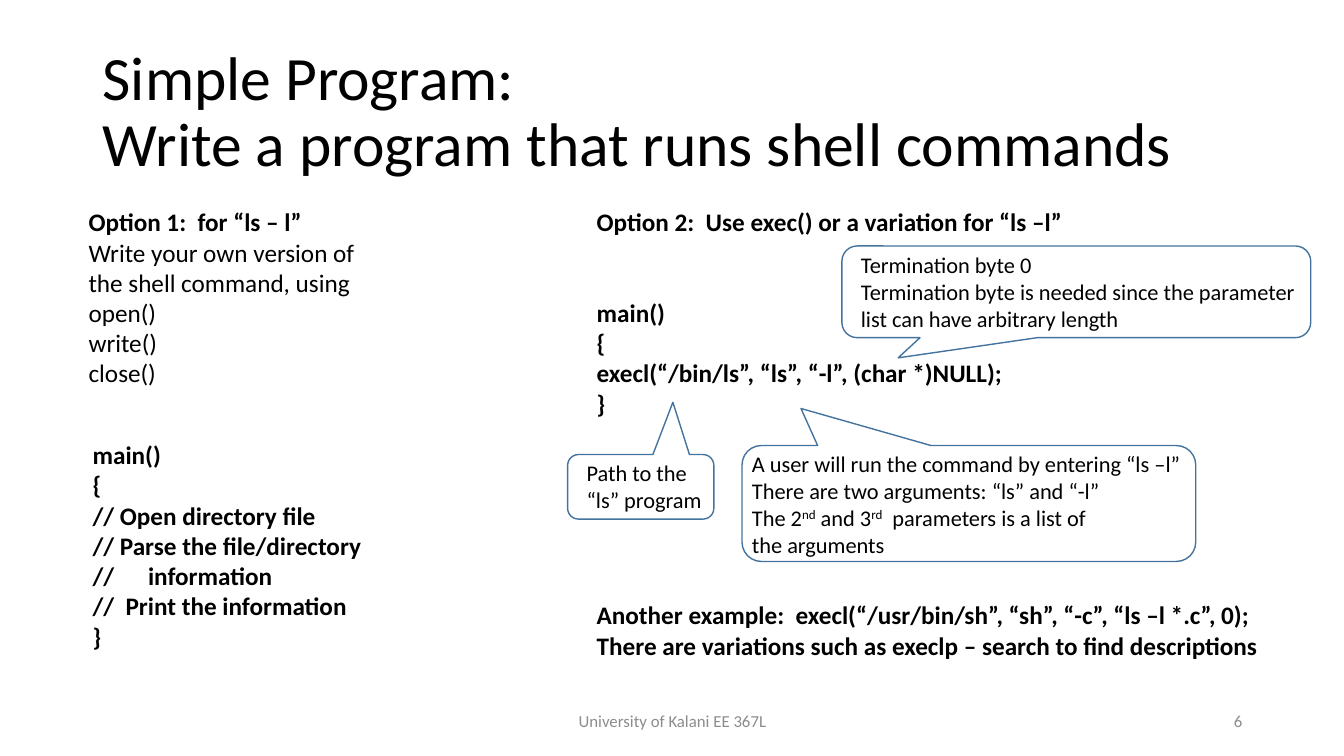
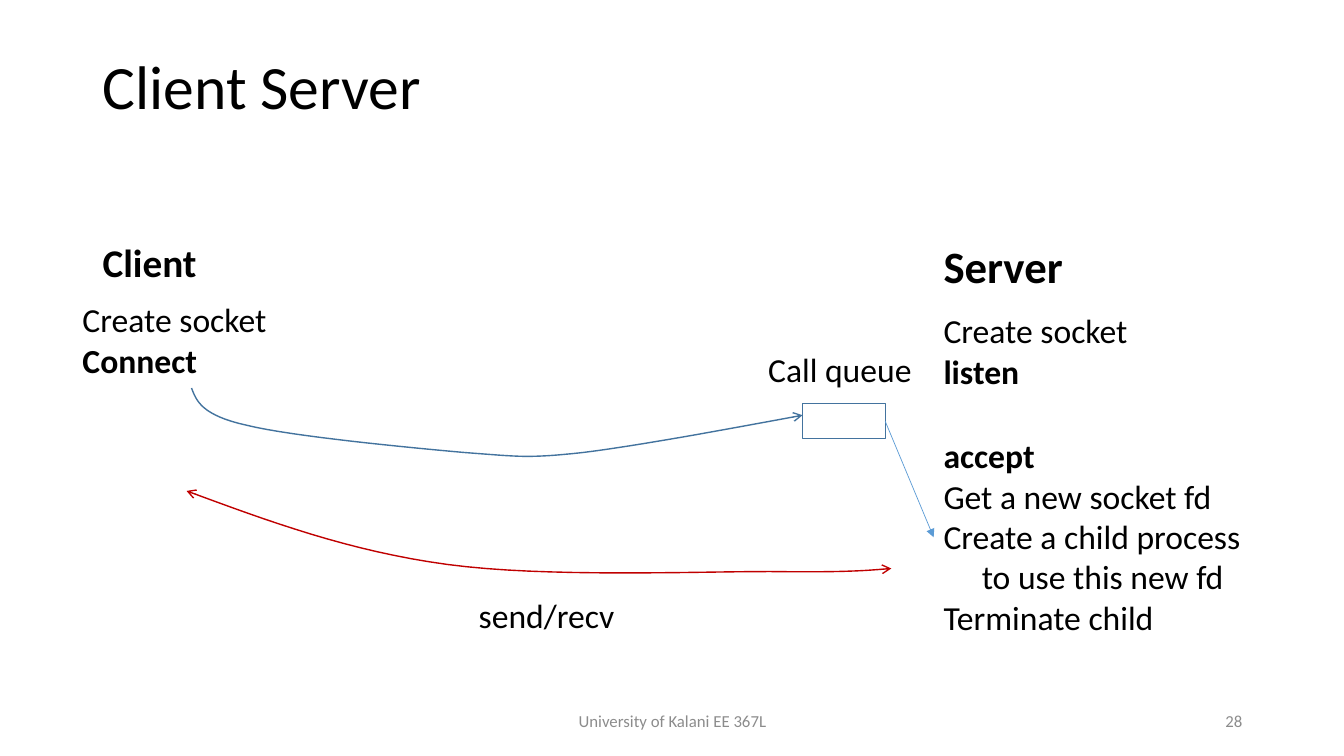
"""Build two course slides: running shell commands, and a client and server."""
from lxml.etree import SubElement
from pptx import Presentation
from pptx.dml.color import RGBColor
from pptx.enum.shapes import MSO_CONNECTOR as LINK, MSO_SHAPE as SHAPE
from pptx.enum.text import MSO_ANCHOR as ANCHOR, MSO_AUTO_SIZE as AUTO, PP_ALIGN as ALIGN
from pptx.oxml.ns import qn
from pptx.util import Inches, Pt

BLACK = RGBColor(0x00, 0x00, 0x00)
GREY = RGBColor(0x8C, 0x8C, 0x8C)
STEEL = RGBColor(0x43, 0x73, 0x9E)
SKY = RGBColor(0x5B, 0x9B, 0xD5)
RED = RGBColor(0xC0, 0x00, 0x00)

FONT = "Calibri"
WIDTH, HEIGHT = 13.33, 7.5
MARGIN, SERVER_LEFT, BODY_TOP = 0.92, 9.26, 2
FOOTER = "University of Kalani EE 367L"
FOOTER_TOP, FOOTER_HEIGHT = 6.95, 0.4
CORNER = 0.167
CURVE_STEPS = 16

BOLD = {"bold": True}
CODE_LINE = 21.6

COMMANDS = {
    "title": "Simple Program:\nWrite a program that runs shell commands",
    "title_height": 1.45,
    "number": "6",
    "texts": [
        ((0.82, 4.31, 2.89, 2.22), 18, [
            ("main()", BOLD), ("{", BOLD), ("// Open directory file", BOLD),
            ("// Parse the file/directory", BOLD),
            ("//\tinformation", {**BOLD, "tab": 0.55}),
            ("//  Print the information", BOLD), ("}", BOLD)]),
        ((0.78, BODY_TOP, 2.89, 1.92), 18, [
            ("Option 1:  for “ls – l”", BOLD), "Write your own version of",
            "the shell command, using", "open()", "write()", "close()"]),
        ((5.82, BODY_TOP, 6.83, 4.64), 18, [
            ("Option 2:  Use exec() or a variation for “ls –l”", BOLD),
            ("main()", {**BOLD, "before": 2 * CODE_LINE}), ("{", BOLD),
            ("execl(“/bin/ls”, “ls”, “-l”, (char *)NULL);", BOLD), ("}", BOLD),
            ("Another example:  execl(“/usr/bin/sh”, “sh”, “-c”, “ls –l *.c”, 0);",
             {**BOLD, "before": 6 * CODE_LINE}),
            ("There are variations such as execlp – search to find descriptions", BOLD)]),
    ],
    "callouts": [
        ((5.63, 4.51, 1.45, 0.64), (0.22, -1.31), 0.09,
         ["Path to the", "“ls” program"]),
        ((8.35, 2.44, 4.65, 0.91), (-0.38, 0.72), 0.09,
         ["Termination byte 0", "Termination byte is needed since the parameter",
          "list can have arbitrary length"]),
        ((7.36, 4.42, 4.5, 1.15), (-0.37, -0.82), 0,
         ["A user will run the command by entering “ls –l”",
          "There are two arguments: “ls” and “-l”",
          "The 2^nd^ and 3^rd^  parameters is a list of", "the arguments"]),
    ],
}

SOCKETS = {
    "title": "Client Server",
    "title_height": 0.97,
    "number": "28",
    "texts": [
        ((MARGIN, 2.32, 1.14, 0.57), 28, [("Client", BOLD)]),
        ((SERVER_LEFT, 2.32, 1.4, 0.64), 32, [("Server", BOLD)]),
        ((0.72, 2.92, 2.04, 0.91), 24, ["Create socket", ("Connect", BOLD)]),
        ((SERVER_LEFT, 3.03, 2.04, 0.91), 24, ["Create socket", ("listen", BOLD)]),
        ((7.52, 3.41, 1.64, 0.5), 24, ["Call queue"]),
        ((SERVER_LEFT, 4.27, 3.17, 2.12), 24, [
            ("accept", BOLD), "Get a new socket fd", "Create a child process",
            ("to use this new fd", {"indent": 0.38}), "Terminate child"]),
        ((4.65, 5.85, 1.56, 0.5), 24, ["send/recv"]),
    ],
}
QUEUE = (7.96, 4, 0.82, 0.35)
ACCEPT_ARROW = ((8.78, 4.18), (SERVER_LEFT, 5.33))
CONNECT_CURVE = [
    (1.9, 3.85), (1.95, 3.98), (2, 4.12), (2.45, 4.22), (2.9, 4.33), (4.05, 4.44),
    (4.61, 4.49), (5.16, 4.53), (5.22, 4.55), (5.78, 4.49), (6.34, 4.42),
    (7.15, 4.27), (7.96, 4.12)]
SEND_CURVE = [
    (1.85, 4.87), (2.66, 5.17), (3.47, 5.47), (4.44, 5.6), (5.4, 5.73),
    (6.9, 5.67), (7.64, 5.67), (8.37, 5.68), (8.6, 5.66), (8.84, 5.64)]


def inches(values):
    return [Inches(value) for value in values]


def apply(target, formats):
    for name, value in formats.items():
        setattr(target, name, value)


def add_spans(para, text, size, color, bold):
    for row, part in enumerate(text.split("\n")):
        if row:
            para.add_line_break()
        for index, piece in enumerate(part.split("^")):
            span = para.add_run()
            span.text = piece
            apply(span.font, {"name": FONT, "size": Pt(size), "bold": bold})
            span.font.color.rgb = color
            if index % 2:
                span.font._element.set("baseline", "30000")


def add_text(page, place, size, lines, color=BLACK, frame_format=None, para_format=None):
    frame = page.shapes.add_textbox(*inches(place)).text_frame
    apply(frame, frame_format or {"word_wrap": False, "auto_size": AUTO.SHAPE_TO_FIT_TEXT})
    for index, line in enumerate(lines):
        text, style = (line, {}) if isinstance(line, str) else line
        para = frame.add_paragraph() if index else frame.paragraphs[0]
        apply(para, para_format or {})
        if "before" in style:
            para.space_before = Pt(style["before"])
        props = para._p.get_or_add_pPr()
        if "indent" in style:
            props.set("marL", str(Inches(style["indent"])))
        if "tab" in style:
            stops = SubElement(props, qn("a:tabLst"))
            SubElement(stops, qn("a:tab"), pos=str(Inches(style["tab"])), algn="l")
        add_spans(para, text, size, color, style.get("bold", False))


def draw_line(item, color, width, **ends):
    item.line.color.rgb = color
    item.line.width = Pt(width)
    for end in ("head", "tail"):
        if end in ends:
            SubElement(item.line._get_or_add_ln(), qn(f"a:{end}End"), type=ends[end])


def outline(shape, color=STEEL, width=1, **ends):
    shape.shadow.inherit = False
    shape.fill.background()
    draw_line(shape, color, width, **ends)


def add_callout(page, place, tip, inset, lines):
    left, top, width, height = place
    add_text(page, (left + inset, top, width - inset, height), 16, lines)
    bubble = page.shapes.add_shape(SHAPE.ROUNDED_RECTANGULAR_CALLOUT, *inches(place))
    for index, value in enumerate((*tip, CORNER)):
        bubble.adjustments[index] = value
    outline(bubble)


def bezier(knots, share):
    rest = 1 - share
    weights = (rest ** 3, 3 * rest ** 2 * share, 3 * rest * share ** 2, share ** 3)
    return inches(sum(w * knot[axis] for w, knot in zip(weights, knots)) for axis in (0, 1))


def add_curve(page, knots, color, **ends):
    points = [bezier(knots[first:first + 4], step / CURVE_STEPS)
              for first in range(0, len(knots) - 1, 3)
              for step in range(1, CURVE_STEPS + 1)]
    builder = page.shapes.build_freeform(*inches(knots[0]))
    builder.add_line_segments(points, close=False)
    outline(builder.convert_to_shape(), color, **ends)


def add_page(deck, content):
    page = deck.slides.add_slide(deck.slide_layouts[6])
    middle = {"word_wrap": True, "vertical_anchor": ANCHOR.MIDDLE}
    add_text(page, (MARGIN, 0.4, WIDTH - 2 * MARGIN, content["title_height"]), 44,
             [content["title"]], BLACK, middle, {"line_spacing": 0.9})
    for left, width, text, align in ((4.42, 4.5, FOOTER, ALIGN.CENTER),
                                     (9.42, 3, content["number"], ALIGN.RIGHT)):
        add_text(page, (left, FOOTER_TOP, width, FOOTER_HEIGHT), 12, [text],
                 GREY, middle, {"alignment": align})
    for place, size, lines in content["texts"]:
        add_text(page, place, size, lines)
    for callout in content.get("callouts", []):
        add_callout(page, *callout)
    return page


deck = Presentation()
apply(deck, {"slide_width": Inches(WIDTH), "slide_height": Inches(HEIGHT)})
add_page(deck, COMMANDS)
sockets = add_page(deck, SOCKETS)
add_curve(sockets, CONNECT_CURVE, STEEL, tail="arrow")
outline(sockets.shapes.add_shape(SHAPE.RECTANGLE, *inches(QUEUE)))
start, end = ACCEPT_ARROW
arrow = sockets.shapes.add_connector(LINK.STRAIGHT, *inches(start + end))
draw_line(arrow, SKY, 0.5, tail="triangle")
SubElement(arrow._element.spPr, qn("a:effectLst"))
add_curve(sockets, SEND_CURVE, RED, head="arrow", tail="arrow")
deck.save("out.pptx")
